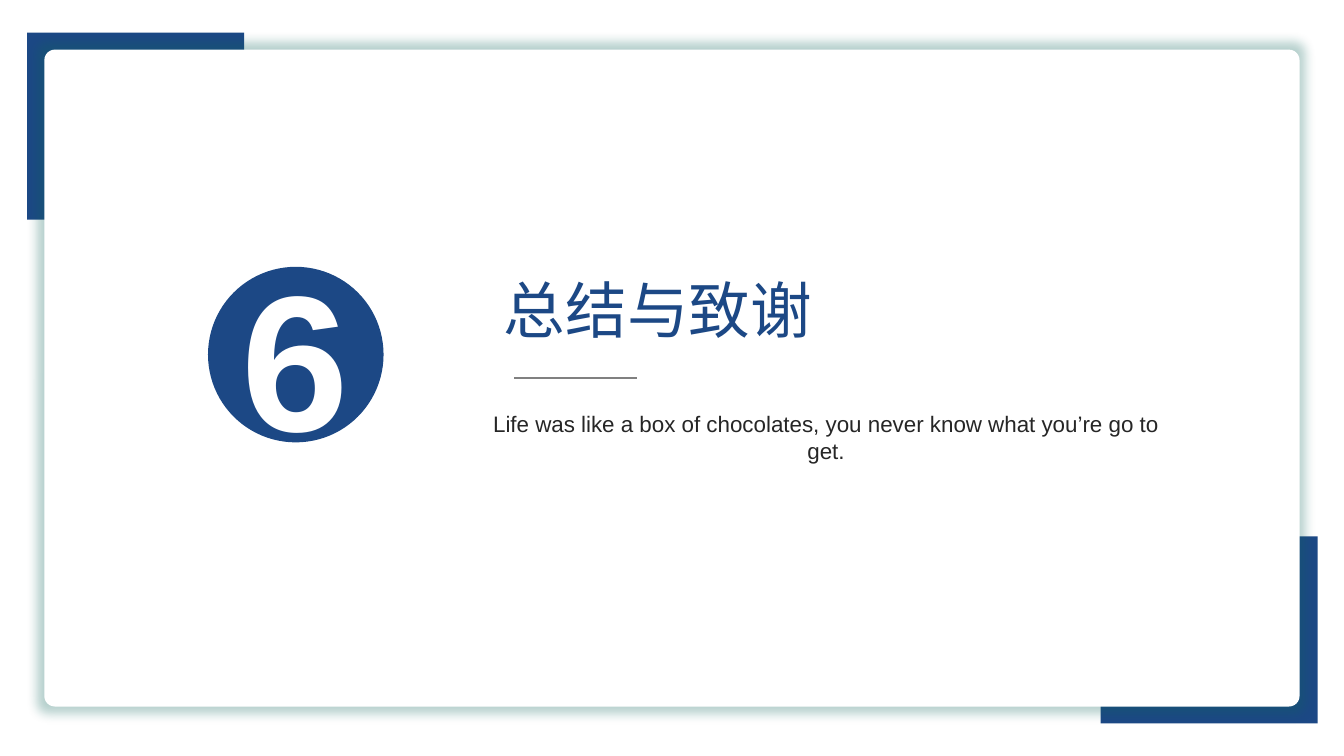
from dataclasses import dataclass

from lxml import etree
from pptx import Presentation
from pptx.dml.color import RGBColor
from pptx.enum.shapes import MSO_CONNECTOR, MSO_SHAPE
from pptx.enum.text import MSO_ANCHOR, MSO_AUTO_SIZE, PP_ALIGN
from pptx.oxml.ns import qn
from pptx.util import Pt

RECT, ROUND, OVAL = MSO_SHAPE.RECTANGLE, MSO_SHAPE.ROUNDED_RECTANGLE, MSO_SHAPE.OVAL
LINE = MSO_CONNECTOR.STRAIGHT
TOP, MIDDLE = MSO_ANCHOR.TOP, MSO_ANCHOR.MIDDLE
CENTER, JUSTIFY = PP_ALIGN.CENTER, PP_ALIGN.JUSTIFY
FIXED = MSO_AUTO_SIZE.NONE


@dataclass(frozen=True)
class Theme:
    """Colours, font and type sizes of the slide."""
    blue: str = "1C4885"
    white: str = "FFFFFF"
    gray: str = "808080"
    ink: str = "262626"
    glow: str = "0E645A"
    font: str = "Arial"
    digit: int = 138
    title: int = 44
    quote: int = 16


@dataclass(frozen=True)
class Box:
    """A place on the slide, in points."""
    left: float
    top: float
    width: float
    height: float

    def spans(self) -> list:
        """Give left, top, width and height as lengths."""
        return [Pt(v) for v in (self.left, self.top, self.width, self.height)]


@dataclass(frozen=True)
class Block:
    """A plain filled shape."""
    kind: int
    box: Box
    fill: str


@dataclass(frozen=True)
class Label:
    """Text with its look."""
    text: str
    size: int
    color: str
    align: int
    anchor: int = TOP
    bold: bool = False


THEME = Theme()
WIDE, HIGH = 960, 540
CORNERS = [Block(RECT, Box(left, top, 155, 133.5), THEME.blue)
           for left, top in ((19.4, 23.4), (786.2, 383.2))]
PANEL = Block(ROUND, Box(31.7, 35.5, 896.6, 469.2), THEME.white)
BADGE = Block(OVAL, Box(148.6, 190.6, 125.4, 125.4), THEME.blue)


def draw(slide, block: Block):
    """Add a block without line or shadow."""
    shape = slide.shapes.add_shape(block.kind, *block.box.spans())
    shape.shadow.inherit = False
    shape.fill.solid()
    shape.fill.fore_color.rgb = RGBColor.from_string(block.fill)
    shape.line.fill.background()
    return shape


def glow(shape) -> None:
    """Put a soft, slightly larger shadow behind a shape."""
    effects = shape._element.spPr.find(qn("a:effectLst"))
    shade = etree.SubElement(effects, qn("a:outerShdw"), blurRad=str(Pt(8)),
                             sx="101000", sy="102000", algn="ctr", rotWithShape="0")
    color = etree.SubElement(shade, qn("a:srgbClr"), val=THEME.glow)
    etree.SubElement(color, qn("a:alpha"), val="29000")


def write(shape, label: Label) -> None:
    """Set and format the text of a shape."""
    frame = shape.text_frame
    frame.text = label.text
    frame.word_wrap = True
    frame.auto_size = FIXED
    frame.vertical_anchor = label.anchor
    part = frame.paragraphs[0]
    part.alignment = label.align
    part.space_before = Pt(0)
    font = part.runs[0].font
    font.name, font.size, font.bold = THEME.font, Pt(label.size), label.bold
    font.color.rgb = RGBColor.from_string(label.color)


def place(slide, holder, box: Box, label: Label) -> None:
    """Move a placeholder to the front and fill it."""
    holder.left, holder.top, holder.width, holder.height = box.spans()
    slide.shapes._spTree.append(holder._element)
    write(holder, label)


def rule(slide, left: float, right: float, top: float) -> None:
    """Draw the thin level line under the title."""
    line = slide.shapes.add_connector(LINE, Pt(left), Pt(top), Pt(right), Pt(top))
    line.line.color.rgb = RGBColor.from_string(THEME.gray)
    line.line.width = Pt(2)
    etree.SubElement(line._element.spPr, qn("a:effectLst"))


def build() -> None:
    """Build and save the slide."""
    deck = Presentation()
    deck.slide_width, deck.slide_height = Pt(WIDE), Pt(HIGH)
    slide = deck.slides.add_slide(deck.slide_layouts[0])
    title, quote = slide.placeholders

    for block in CORNERS:
        draw(slide, block)
    panel = draw(slide, PANEL)
    panel.adjustments[0] = 0.016
    glow(panel)

    badge = draw(slide, BADGE)
    write(badge, Label("6", THEME.digit, THEME.white, CENTER, MIDDLE, True))
    badge.text_frame.word_wrap = False

    place(slide, title, Box(352.8, 190.8, 453.6, 60.5),
          Label("总结与致谢", THEME.title, THEME.blue, JUSTIFY))
    rule(slide, 367.2, 455, 270)
    place(slide, quote, Box(342, 289.4, 496, 46),
          Label("Life was like a box of chocolates, you never know what you’re go to get.",
                THEME.quote, THEME.ink, CENTER))
    deck.save("out.pptx")


build()
